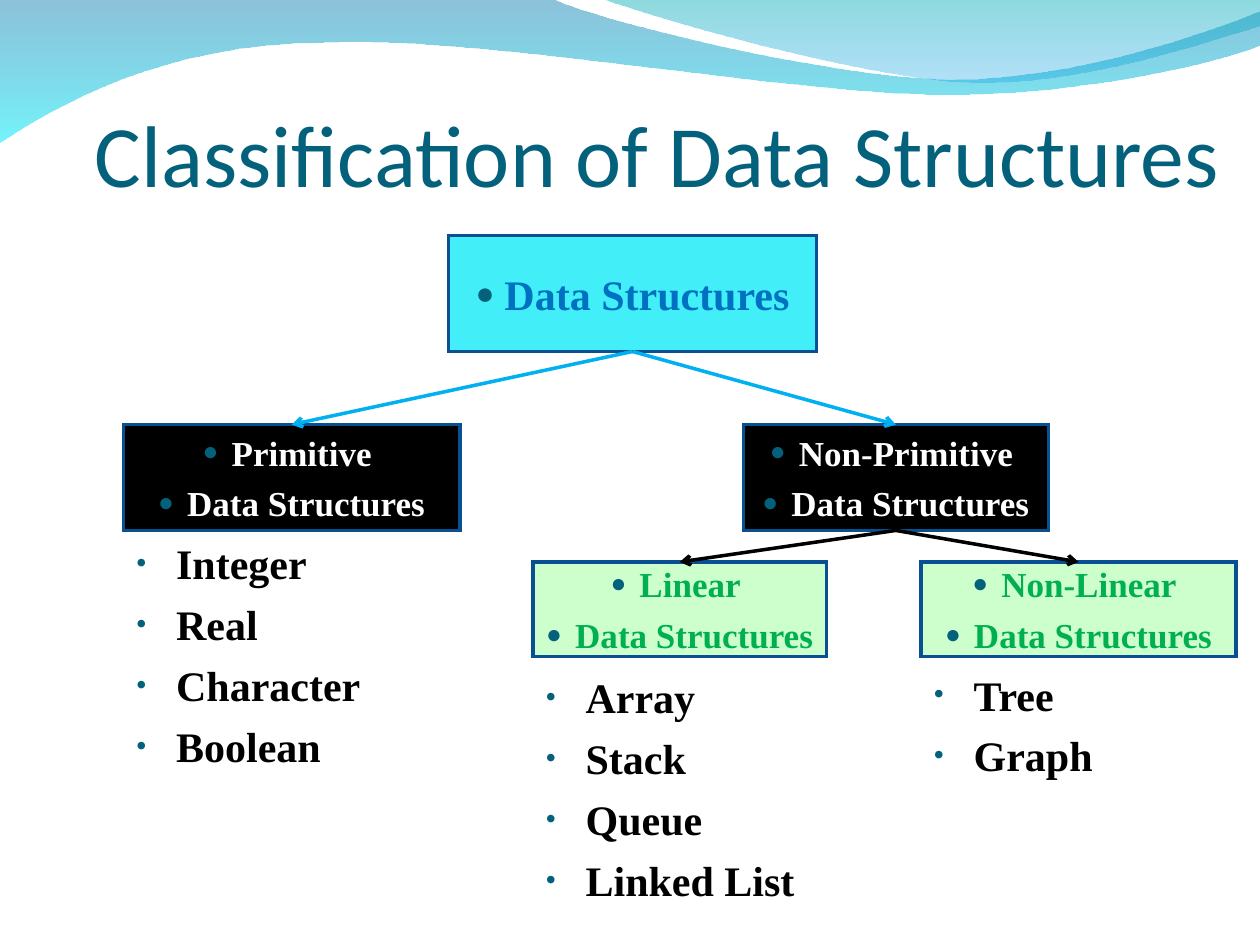
"""Build the slide that classifies data structures as a tree."""
from lxml import etree
from pptx import Presentation
from pptx.dml.color import RGBColor
from pptx.enum.shapes import MSO_CONNECTOR, MSO_SHAPE
from pptx.enum.text import MSO_ANCHOR, PP_ALIGN
from pptx.oxml import parse_xml
from pptx.oxml.ns import nsdecls, qn
from pptx.util import Inches, Pt

RECT, STRAIGHT = MSO_SHAPE.RECTANGLE, MSO_CONNECTOR.STRAIGHT
LEFT, CENTER = PP_ALIGN.LEFT, PP_ALIGN.CENTER
MIDDLE, BOTTOM = MSO_ANCHOR.MIDDLE, MSO_ANCHOR.BOTTOM
TOP_SITE, BOTTOM_SITE = 0, 2
UNITS = 100

TEAL = RGBColor(0x04, 0x61, 0x7B)
NAVY = RGBColor(0x08, 0x50, 0x91)
CYAN = RGBColor(0x42, 0xEF, 0xF8)
BLUE = RGBColor(0x00, 0x70, 0xC0)
SKY = RGBColor(0x00, 0xB0, 0xF0)
MINT = RGBColor(0xCC, 0xFF, 0xCC)
GREEN = RGBColor(0x00, 0xB0, 0x50)
BLACK = RGBColor(0x00, 0x00, 0x00)
WHITE = RGBColor(0xFF, 0xFF, 0xFF)

BACK_WAVE = [
    [(4.4, 0)],
    [(4.76, 0.17), (6.64, 0.63), (7.58, 0.63)],
    [(8.53, 0.63), (9.58, 0.26), (10, 0.09)],
    [(10, 0.36)],
    [(9.83, 0.44), (8.7, 0.76), (7.46, 0.75)],
    [(6.22, 0.75), (3.82, 0.28), (2.57, 0.34)],
    [(1.29, 0.35), (0.46, 0.83), (0, 1.13)],
]
FRONT_WAVE = [
    [(5.09, 0.11), (6.82, 0.62), (7.69, 0.65)],
    [(8.56, 0.69), (9.61, 0.32), (10, 0.21)],
    [(10, 0)],
]


def add_bullet(p, char, indent):
    """Give a paragraph a hanging bullet."""
    pPr = p._p.get_or_add_pPr()
    pPr.set("marL", str(Inches(indent)))
    pPr.set("indent", str(-Inches(indent)))
    color = etree.SubElement(pPr, qn("a:buClr"))
    etree.SubElement(color, qn("a:srgbClr"), val=str(TEAL))
    etree.SubElement(pPr, qn("a:buSzPct"), val="75000")
    etree.SubElement(pPr, qn("a:buFont"), typeface="Times New Roman")
    etree.SubElement(pPr, qn("a:buChar"), char=char)


def write_text(tf, lines, size, color, font="Times New Roman", bold=True,
               align=LEFT, bullet=None, indent=0.0, gap=0):
    """Fill a text frame with one formatted paragraph per line."""
    tf.word_wrap = True
    for i, line in enumerate(lines):
        p = tf.paragraphs[0] if i == 0 else tf.add_paragraph()
        if bullet:
            add_bullet(p, bullet, indent)
        p.alignment = align
        if i:
            p.space_before = Pt(gap)
        r = p.add_run()
        r.text = line
        r.font.name, r.font.size, r.font.bold = font, Pt(size), bold
        r.font.color.rgb = color


class Deck:
    """Hold the style and the current slide."""

    line_width = Pt(2)

    def __init__(self, prs):
        """Add a title-only slide."""
        self.s = prs.slides.add_slide(prs.slide_layouts[5])

    def wave(self, left, segments, stops):
        """Draw a curved band from the top edge with a translucent gradient."""
        builder = self.s.shapes.build_freeform(
            round(left * UNITS), 0, scale=Inches(1) / UNITS)
        builder.add_line_segments(
            [(round(x * UNITS), round(y * UNITS)) for *_, (x, y) in segments])
        sp = builder.convert_to_shape()
        sp.shadow.inherit = False
        sp.line.fill.background()
        spPr = sp._element.spPr
        for line, segment in zip(list(spPr.iter(qn("a:lnTo"))), segments):
            if len(segment) == 3:
                curve = etree.Element(qn("a:cubicBezTo"))
                for x, y in segment:
                    etree.SubElement(curve, qn("a:pt"), x=str(round((x - left) * UNITS)),
                                     y=str(round(y * UNITS)))
                line.getparent().replace(line, curve)
        gs = "".join(
            f'<a:gs pos="{pos}"><a:srgbClr val="{color}">'
            f'<a:alpha val="{alpha}"/></a:srgbClr></a:gs>'
            for pos, color, alpha in stops)
        spPr.find(qn("a:custGeom")).addnext(parse_xml(
            f'<a:gradFill {nsdecls("a")} rotWithShape="1"><a:gsLst>{gs}</a:gsLst>'
            '<a:lin ang="5400000" scaled="0"/></a:gradFill>'))

    def title(self, text, x, y, w, h):
        """Place and fill the title placeholder."""
        sp = self.s.shapes.title
        sp.left, sp.top, sp.width, sp.height = map(Inches, (x, y, w, h))
        tf = sp.text_frame
        tf.margin_left = tf.margin_right = tf.margin_top = 0
        tf.margin_bottom = Inches(0.06)
        tf.vertical_anchor = BOTTOM
        write_text(tf, [text], 50, TEAL, font="Calibri", bold=False, align=CENTER)

    def box(self, lines, x, y, w, h, fill, color, size=20):
        """Draw a tree node and return it."""
        sp = self.s.shapes.add_shape(RECT, *map(Inches, (x, y, w, h)))
        sp.shadow.inherit = False
        sp.fill.solid()
        sp.fill.fore_color.rgb = fill
        sp.line.color.rgb = NAVY
        sp.line.width = self.line_width
        etree.SubElement(sp.line._get_or_add_ln(), qn("a:miter"), lim="800000")
        sp.text_frame.vertical_anchor = MIDDLE
        write_text(sp.text_frame, lines, size, color, align=CENTER,
                   bullet="●", indent=0.23, gap=5)
        return sp

    def arrow(self, parent, child, color):
        """Join the bottom of a node to the top of its child."""
        cxn = self.s.shapes.add_connector(STRAIGHT, 0, 0, 0, 0)
        cxn.begin_connect(parent, BOTTOM_SITE)
        cxn.end_connect(child, TOP_SITE)
        cxn.line.color.rgb = color
        cxn.line.width = self.line_width
        etree.SubElement(cxn.line._get_or_add_ln(), qn("a:tailEnd"), type="arrow")
        etree.SubElement(cxn._element.spPr, qn("a:effectLst"))

    def items(self, lines, x, y, h, inset=0.05):
        """Write a bulleted list of examples."""
        sp = self.s.shapes.add_textbox(*map(Inches, (x, y, 2.33, h)))
        sp.text_frame.margin_top = Inches(inset)
        write_text(sp.text_frame, lines, 24, BLACK, bullet="•", indent=0.32, gap=6)


def main():
    """Build and save the slide."""
    prs = Presentation()
    prs.slide_width, prs.slide_height = Inches(10), Inches(7.5)
    deck = Deck(prs)
    deck.wave(0, BACK_WAVE, [(0, "0079AF", 45000), (100000, "00EBF8", 55000)])
    deck.wave(4.79, FRONT_WAVE, [(0, "00ADB6", 45000), (100000, "009BE5", 30000)])
    deck.title("Classification of Data Structures", 0.63, 0.75, 9.17, 0.94)

    kind = "Data Structures"
    root = deck.box([kind], 3.56, 1.87, 2.92, 0.92, CYAN, BLUE, size=24)
    primitive = deck.box(["Primitive ", kind], 0.98, 3.37, 2.67, 0.84, BLACK, WHITE)
    non_primitive = deck.box(["Non-Primitive ", kind], 5.9, 3.37, 2.42, 0.84, BLACK, WHITE)
    linear = deck.box(["Linear ", kind], 4.23, 4.46, 2.33, 0.75, MINT, GREEN)
    non_linear = deck.box(["Non-Linear ", kind], 7.31, 4.46, 2.5, 0.75, MINT, GREEN)

    for parent, children, color in ((root, (non_primitive, primitive), SKY),
                                    (non_primitive, (linear, non_linear), BLACK)):
        for child in children:
            deck.arrow(parent, child, color)

    deck.items(["Integer", "Real", "Character", "Boolean"], 0.98, 4.22, 1.95)
    deck.items(["Array", "Stack", "Queue", "Linked List"], 4.23, 5.22, 2.02, inset=0.11)
    deck.items(["Tree", "Graph"], 7.31, 5.21, 1.05, inset=0.1)
    prs.save("out.pptx")


if __name__ == "__main__":
    main()
